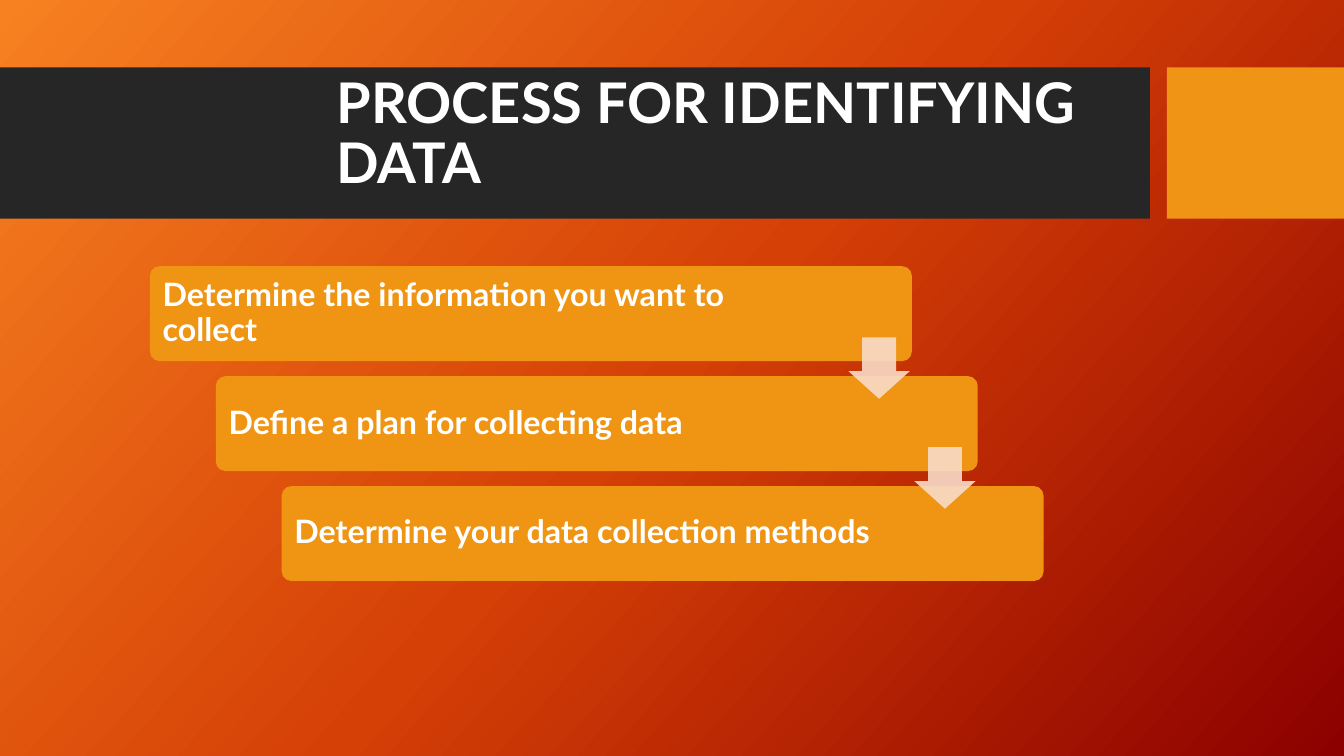
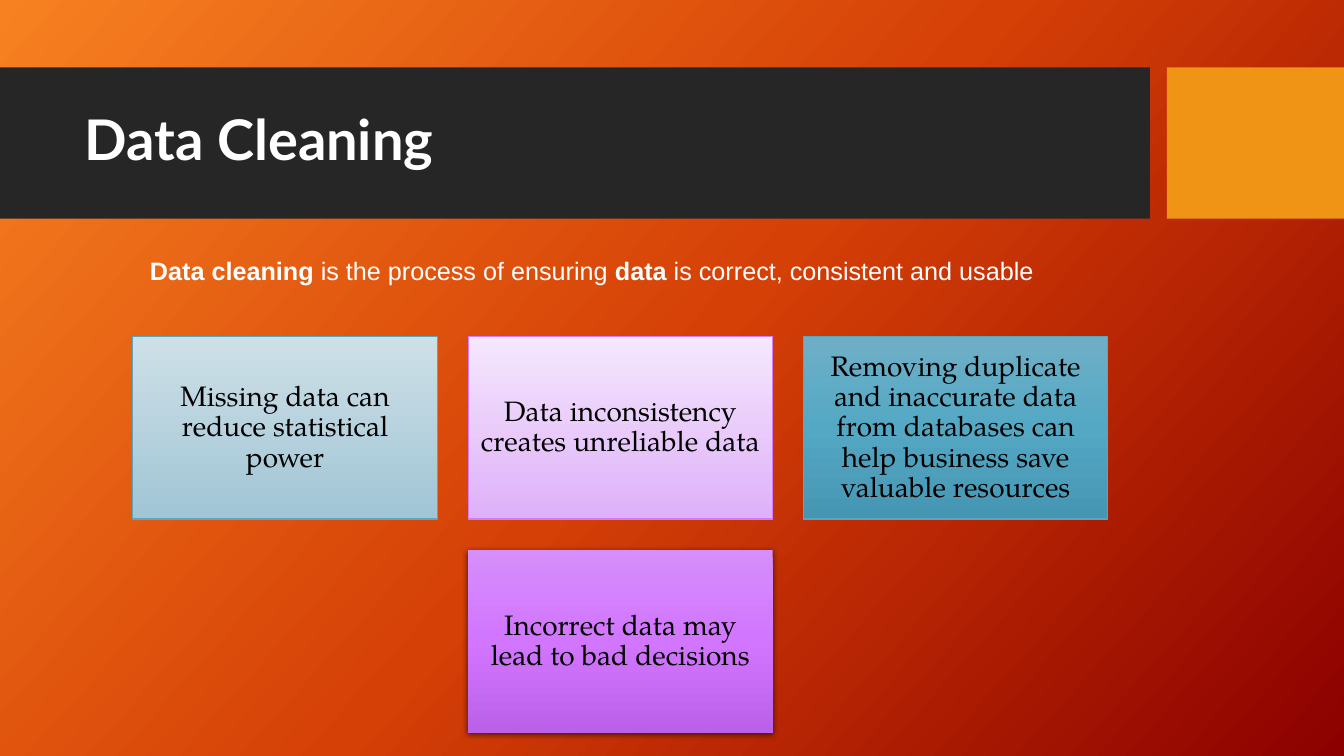
from dataclasses import dataclass

from lxml import etree
from pptx import Presentation
from pptx.dml.color import RGBColor
from pptx.enum import shapes, text
from pptx.oxml.ns import qn
from pptx.util import Cm, Pt


@dataclass(frozen=True)
class Theme:
    backdrop: tuple = ((0, "F78121"), (50, "D54006"), (100, "8C0000"))
    backdrop_angle: int = 42
    band: str = "262626"
    band_end: str = "F09415"
    step: str = "EF9413"
    arrow: str = "F9DBC8"
    light: str = "FFFFFF"
    dark: str = "000000"
    heading_font: str = "Lato"
    lead_font: str = "Arial"
    card_font: str = "TeX Gyre Pagella"
    title_size: int = 40
    step_size: int = 23
    card_size: int = 20
    lead_size: int = 18
    tight: float = 0.9


def rgb(colour):
    return RGBColor.from_string(colour)


def add_child(parent, tag, **attributes):
    child = etree.SubElement(parent, qn(tag))
    for name, value in attributes.items():
        child.set(name, str(value))
    return child


def set_gradient(fill, owner, stops, angle):
    """Fill with (percent, colour) stops; the angle runs clockwise."""
    fill.gradient()
    fill.gradient_angle = 360 - angle
    stop_list = next(owner.iter(qn("a:gsLst")))
    for old_stop in list(stop_list):
        stop_list.remove(old_stop)
    for percent, colour in stops:
        stop = add_child(stop_list, "a:gs", pos=percent * 1000)
        add_child(stop, "a:srgbClr", val=colour)


class Deck:
    def __init__(self, theme):
        self.theme = theme
        self.prs = Presentation()
        self.prs.slide_width, self.prs.slide_height = Cm(33.87), Cm(19.05)
        self.layout = self.prs.slide_layouts[5]
        self.slide = None
        set_gradient(self.layout.background.fill, self.layout.element,
                     theme.backdrop, theme.backdrop_angle)

    def add_slide(self, title, left, top, width):
        self.slide = self.prs.slides.add_slide(self.layout)
        if len(self.prs.slides) == 1:
            self.bands()
        heading = self.slide.shapes.title
        heading.left, heading.top = Cm(left), Cm(top)
        heading.width, heading.height = Cm(width), Cm(3)
        self.put_text(heading, [(title, True)], self.theme.heading_font,
                      self.theme.title_size, self.theme.light,
                      spacing=self.theme.tight)

    def bands(self):
        """Draw the title bands and hand them to the layout, for every slide."""
        for left, width, colour in ((0, 28.98, self.theme.band),
                                    (29.41, 4.46, self.theme.band_end)):
            band = self.shape(shapes.MSO_SHAPE.RECTANGLE, left, 1.7, width, 3.81, colour)
            self.layout.shapes.element.append(band.element)

    def shape(self, kind, left, top, width, height, colour=None):
        shape = self.slide.shapes.add_shape(kind, Cm(left), Cm(top), Cm(width), Cm(height))
        shape.shadow.inherit = False
        shape.line.fill.background()
        if colour:
            shape.fill.solid()
            shape.fill.fore_color.rgb = rgb(colour)
        return shape

    def put_text(self, holder, runs, font, size, colour, spacing=1.0,
                 align=text.PP_ALIGN.LEFT, anchor=text.MSO_ANCHOR.MIDDLE):
        """Fill the holder with one paragraph of (words, bold) runs."""
        frame = holder.text_frame
        frame.word_wrap = True
        frame.auto_size = text.MSO_AUTO_SIZE.NONE
        frame.vertical_anchor = anchor
        paragraph = frame.paragraphs[0]
        paragraph.alignment = align
        paragraph.line_spacing = spacing
        for words, bold in runs:
            run = paragraph.add_run()
            run.text = words
            run.font.name, run.font.size, run.font.bold = font, Pt(size), bold
            run.font.color.rgb = rgb(colour)

    def step(self, words, left, top):
        box = self.shape(shapes.MSO_SHAPE.ROUNDED_RECTANGLE, left, top, 19.2, 2.39,
                         self.theme.step)
        box.adjustments[0] = 0.1
        box.text_frame.margin_right = Cm(3.5)
        self.put_text(box, [(words, True)], self.theme.heading_font,
                      self.theme.step_size, self.theme.light, self.theme.tight)

    def arrow(self, left, top):
        arrow = self.shape(shapes.MSO_SHAPE.DOWN_ARROW, left, top, 1.55, 1.55,
                           self.theme.arrow)
        arrow.adjustments[0], arrow.adjustments[1] = 0.55, 0.45
        add_child(next(arrow.element.iter(qn("a:srgbClr"))), "a:alpha", val=90000)

    def card(self, words, left, top, width, height, stops, border):
        """Draw a gradient card; one without a border gets a shadow."""
        card = self.shape(shapes.MSO_SHAPE.RECTANGLE, left, top, width, height)
        set_gradient(card.fill, card.element, stops, 90)
        if border:
            card.line.color.rgb = rgb(border)
            card.line.width = Pt(0.75)
        else:
            self.drop_shadow(card)
        frame = card.text_frame
        frame.margin_left = frame.margin_right = Cm(0.21)
        frame.margin_top = frame.margin_bottom = Cm(0.21)
        self.put_text(card, [(words, False)], self.theme.card_font, self.theme.card_size,
                      self.theme.dark, self.theme.tight, text.PP_ALIGN.CENTER)

    def drop_shadow(self, shape):
        effects = next(shape.element.iter(qn("a:effectLst")))
        shadow = add_child(effects, "a:outerShdw", blurRad=int(Pt(4.5)), dist=int(Pt(1.5)),
                           dir=90 * 60000, algn="ctr", rotWithShape=0)
        colour = add_child(shadow, "a:srgbClr", val=self.theme.dark)
        add_child(colour, "a:alpha", val=63000)

    def lead(self, runs, left, top, width, height):
        box = self.slide.shapes.add_textbox(Cm(left), Cm(top), Cm(width), Cm(height))
        self.put_text(box, runs, self.theme.lead_font, self.theme.lead_size,
                      self.theme.light, anchor=text.MSO_ANCHOR.TOP)


def identifying_slide(deck):
    deck.add_slide("PROCESS FOR IDENTIFYING DATA", 8.23, 1.91, 22.1)
    steps = ("Determine the information you want to collect",
             "Define a plan for collecting data",
             "Determine your data collection methods")
    corners = [(3.78 + 1.66 * i, 6.71 + 2.77 * i) for i in range(len(steps))]
    for words, (left, top) in zip(steps, corners):
        deck.step(words, left, top)
    for left, top in corners[:-1]:
        deck.arrow(left + 17.6, top + 1.79)


def cleaning_slide(deck):
    deck.add_slide("Data Cleaning", 1.88, 2.08, 26.7)
    width, height, gap = 7.67, 4.6, 0.78
    cards = (
        (0, 0, "Missing data can reduce statistical power",
         ((0, "CEE0E7"), (100, "A1C5D5")), "5AA6C0"),
        (1, 0, "Data inconsistency creates unreliable data",
         ((0, "F5E7FD"), (100, "DEB1F9")), "D17DF9"),
        (2, 0, "Removing duplicate and inaccurate data from databases "
               "can help business save valuable resources",
         ((0, "6FAFC6"), (50, "54A8C4"), (100, "4596B2")), "5AA6C0"),
        (1, 1, "Incorrect data may lead to bad decisions",
         ((0, "D68EFA"), (50, "D275FF"), (100, "BB60E8")), None),
    )
    for column, row, words, stops, border in cards:
        deck.card(words, 3.35 + column * (width + gap), 8.48 + row * (height + gap),
                  width, height, stops, border)
    deck.lead([("Data cleaning", True), (" is the process of ensuring ", False),
               ("data", True), (" is correct, consistent and usable", False)],
              3.53, 6.32, 24.38, 1.02)


def main():
    deck = Deck(Theme())
    identifying_slide(deck)
    cleaning_slide(deck)
    deck.prs.save("out.pptx")


if __name__ == "__main__":
    main()
